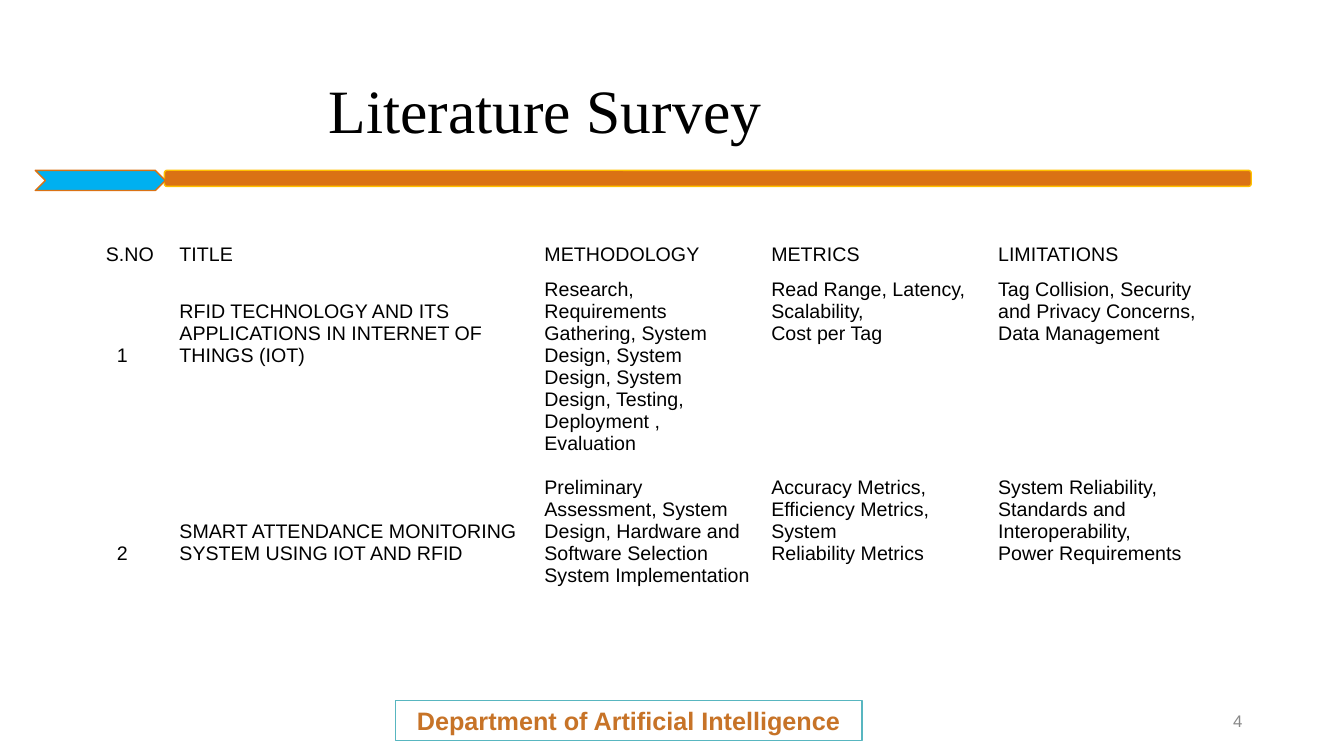
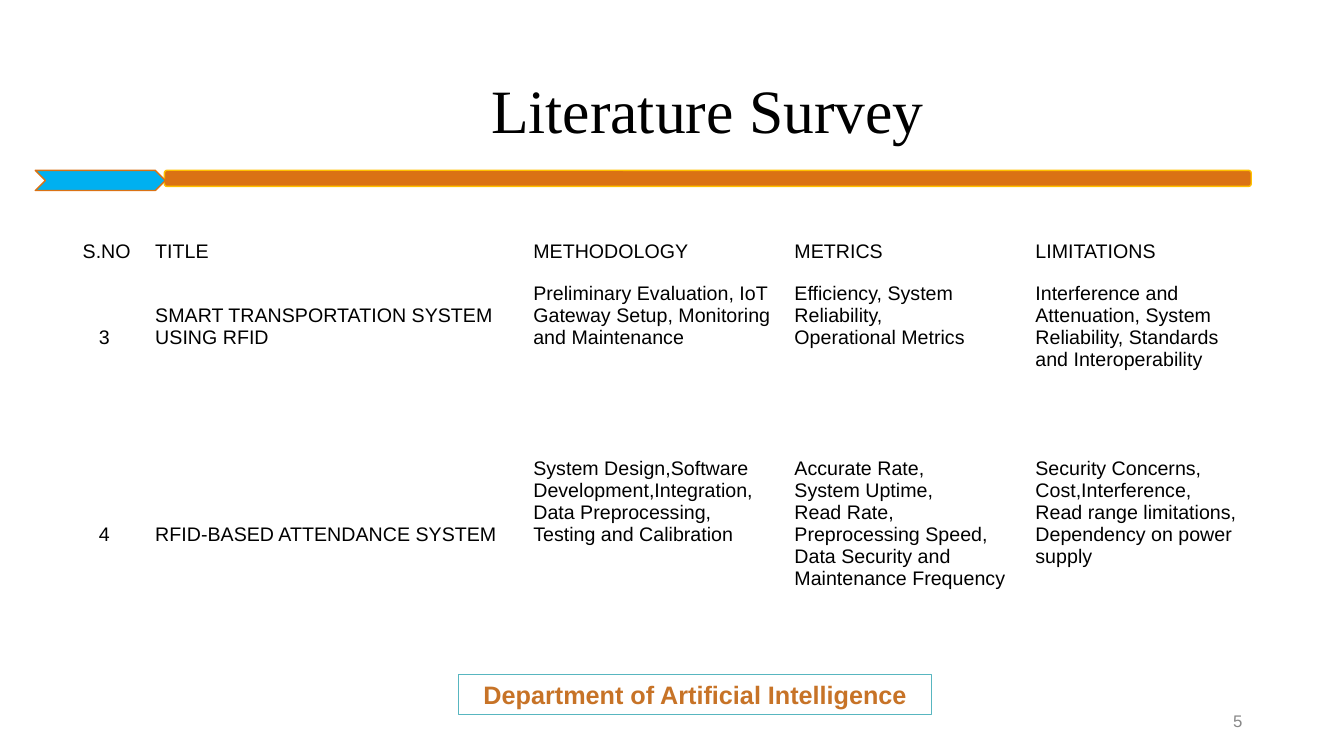
from dataclasses import dataclass
from pptx import Presentation
from pptx.dml.color import RGBColor
from pptx.enum.shapes import MSO_SHAPE
from pptx.enum.text import MSO_ANCHOR, MSO_AUTO_SIZE, PP_ALIGN
from pptx.shapes.autoshape import Shape
from pptx.slide import Slide, SlideLayout
from pptx.text.text import _Paragraph
from pptx.util import Inches, Length, Pt


@dataclass(frozen=True)
class Theme:
    black: str = "000000"
    white: str = "FFFFFF"
    orange: str = "DA7214"
    gold: str = "FFC000"
    blue: str = "00B0F0"
    teal: str = "58B6C0"
    rust: str = "C77327"
    gray: str = "888888"
    serif: str = "Times New Roman"
    sans: str = "Arial"
    title: int = 44
    badge: int = 18
    body: int = 14
    small: int = 12


@dataclass(frozen=True)
class Box:
    left: float
    top: float
    width: float
    height: float

    def emu(self) -> tuple[Length, ...]:
        return tuple(map(Inches, (self.left, self.top, self.width, self.height)))


@dataclass(frozen=True)
class Study:
    """One table row; the drops count the lines left free above the text."""
    number: str
    title: str
    method: str
    metrics: str
    limits: str
    drop: int
    title_drop: int


@dataclass(frozen=True)
class Page:
    number: int
    align: PP_ALIGN
    inset: float
    table: Box
    cols: tuple[float, ...]
    rows: tuple[float, ...]
    indent: float
    badge: Box
    studies: tuple[Study, ...]


THEME = Theme()
LINE = 0.22
PAD = 0.1
HEADS = ("S.NO", "TITLE", "METHODOLOGY", "METRICS", "LIMITATIONS")

PAGES = (
    Page(
        4, PP_ALIGN.LEFT, 1.63, Box(0.95, 2.37, 11.19, 4.11),
        (0.73, 3.62, 2.25, 2.25, 2.34), (0.34, 1.79, 1.98), 0.11,
        Box(3.92, 6.95, 4.63, 0.4),
        (
            Study(
                "1",
                "RFID TECHNOLOGY AND ITS APPLICATIONS IN INTERNET OF THINGS (IOT)",
                "Research, Requirements Gathering, System Design, System Design, "
                "System Design, Testing, Deployment , Evaluation",
                "Read Range, Latency, Scalability,\nCost per Tag",
                "Tag Collision, Security and Privacy Concerns,\nData Management",
                3, 1),
            Study(
                "2",
                "SMART ATTENDANCE MONITORING SYSTEM USING IOT AND RFID",
                "Preliminary Assessment, System Design, Hardware and "
                "Software Selection\nSystem Implementation",
                "Accuracy Metrics, Efficiency Metrics, System\nReliability Metrics",
                "System Reliability, Standards and Interoperability,\n"
                "Power Requirements",
                3, 2),
        ),
    ),
    Page(
        5, PP_ALIGN.CENTER, PAD, Box(0.72, 2.34, 11.69, 4.12),
        (0.72, 3.75, 2.59, 2.39, 2.24), (0.41, 1.74, 1.97), 0.16,
        Box(4.55, 6.69, 4.69, 0.4),
        (
            Study(
                "3",
                "SMART TRANSPORTATION SYSTEM USING RFID",
                "Preliminary Evaluation, IoT Gateway Setup, Monitoring "
                "and Maintenance",
                "Efficiency, System Reliability,\nOperational Metrics",
                "Interference and Attenuation, System Reliability, Standards "
                "and Interoperability",
                2, 1),
            Study(
                "4",
                "RFID-BASED ATTENDANCE SYSTEM",
                "System Design,Software Development,Integration,\n"
                "Data Preprocessing,\nTesting and Calibration",
                "Accurate Rate,\nSystem Uptime,\nRead Rate,\n"
                "Preprocessing Speed,\nData Security and\nMaintenance Frequency",
                "Security Concerns,\nCost,Interference,\n"
                "Read range limitations,\nDependency on power supply",
                3, 3),
        ),
    ),
)


def rgb(color: str) -> RGBColor:
    return RGBColor.from_string(color)


def style(para: _Paragraph, size: int, color: str, face: str = THEME.sans,
          bold: bool = False, align: PP_ALIGN = PP_ALIGN.LEFT) -> None:
    para.alignment = align
    font = para.font
    font.size, font.name, font.bold = Pt(size), face, bold
    font.color.rgb = rgb(color)


def add_box(slide: Slide, kind: MSO_SHAPE, box: Box, fill: str, line: str) -> Shape:
    shape = slide.shapes.add_shape(kind, *box.emu())
    shape.shadow.inherit = False
    shape.fill.solid()
    shape.fill.fore_color.rgb = rgb(fill)
    shape.line.color.rgb = rgb(line)
    shape.line.width = Pt(1)
    return shape


def set_layout(layout: SlideLayout) -> None:
    """Keep only the title on the layout and put it in place."""
    for holder in list(layout.placeholders):
        if holder.placeholder_format.idx:
            holder.element.getparent().remove(holder.element)
    title = layout.placeholders[0]
    title.left, title.top, title.width, title.height = Box(
        1.63, 0.4, 10.78, 1.45).emu()


def add_bands(slide: Slide, layout: SlideLayout) -> None:
    """Draw the bands once and hand them to the layout."""
    bar = add_box(slide, MSO_SHAPE.ROUNDED_RECTANGLE,
                  Box(1.63, 1.69, 10.78, 0.16), THEME.orange, THEME.gold)
    arrow = add_box(slide, MSO_SHAPE.CHEVRON,
                    Box(0.35, 1.69, 1.29, 0.2), THEME.blue, THEME.orange)
    for band in (bar, arrow):
        layout.shapes.element.append(band.element)


def add_title(slide: Slide, page: Page) -> None:
    frame = slide.shapes.title.text_frame
    frame.text = "Literature Survey"
    frame.auto_size = MSO_AUTO_SIZE.NONE
    frame.vertical_anchor = MSO_ANCHOR.MIDDLE
    frame.margin_left = Inches(page.inset)
    para = frame.paragraphs[0]
    para.line_spacing = 0.9
    style(para, THEME.title, THEME.black, THEME.serif, align=page.align)


def add_number(slide: Slide, number: int) -> None:
    frame = slide.shapes.add_textbox(*Box(9.42, 6.95, 3, 0.4).emu()).text_frame
    frame.word_wrap = True
    frame.vertical_anchor = MSO_ANCHOR.MIDDLE
    frame.text = str(number)
    style(frame.paragraphs[0], THEME.small, THEME.gray, align=PP_ALIGN.RIGHT)


def add_table(slide: Slide, page: Page) -> None:
    table = slide.shapes.add_table(
        len(page.rows), len(page.cols), *page.table.emu()).table
    table.first_row = table.horz_banding = False
    for col, width in zip(table.columns, page.cols):
        col.width = Inches(width)
    for row, height in zip(table.rows, page.rows):
        row.height = Inches(height)
    texts = [HEADS] + [
        (s.number, s.title, s.method, s.metrics, s.limits) for s in page.studies]
    drops = [(0,) * len(HEADS)] + [
        (s.drop, s.title_drop, 0, 0, 0) for s in page.studies]
    for r, (line, gaps) in enumerate(zip(texts, drops)):
        for c, (text, gap) in enumerate(zip(line, gaps)):
            cell = table.cell(r, c)
            cell.fill.background()
            cell.margin_top = Inches(0.05 + gap * LINE)
            if r and not c:
                cell.margin_left = Inches(PAD + page.indent)
            cell.text = text
            for para in cell.text_frame.paragraphs:
                style(para, THEME.body, THEME.black)


def add_badge(slide: Slide, box: Box) -> None:
    frame = add_box(slide, MSO_SHAPE.RECTANGLE, box,
                    THEME.white, THEME.teal).text_frame
    frame.vertical_anchor = MSO_ANCHOR.MIDDLE
    frame.text = "Department of Artificial Intelligence"
    style(frame.paragraphs[0], THEME.badge, THEME.rust,
          bold=True, align=PP_ALIGN.CENTER)


def main() -> None:
    deck = Presentation()
    deck.slide_width, deck.slide_height = Inches(13.33), Inches(7.5)
    layout = deck.slide_layouts[5]
    set_layout(layout)
    for i, page in enumerate(PAGES):
        slide = deck.slides.add_slide(layout)
        if i == 0:
            add_bands(slide, layout)
        add_title(slide, page)
        add_number(slide, page.number)
        add_table(slide, page)
        add_badge(slide, page.badge)
    deck.save("out.pptx")


if __name__ == "__main__":
    main()
